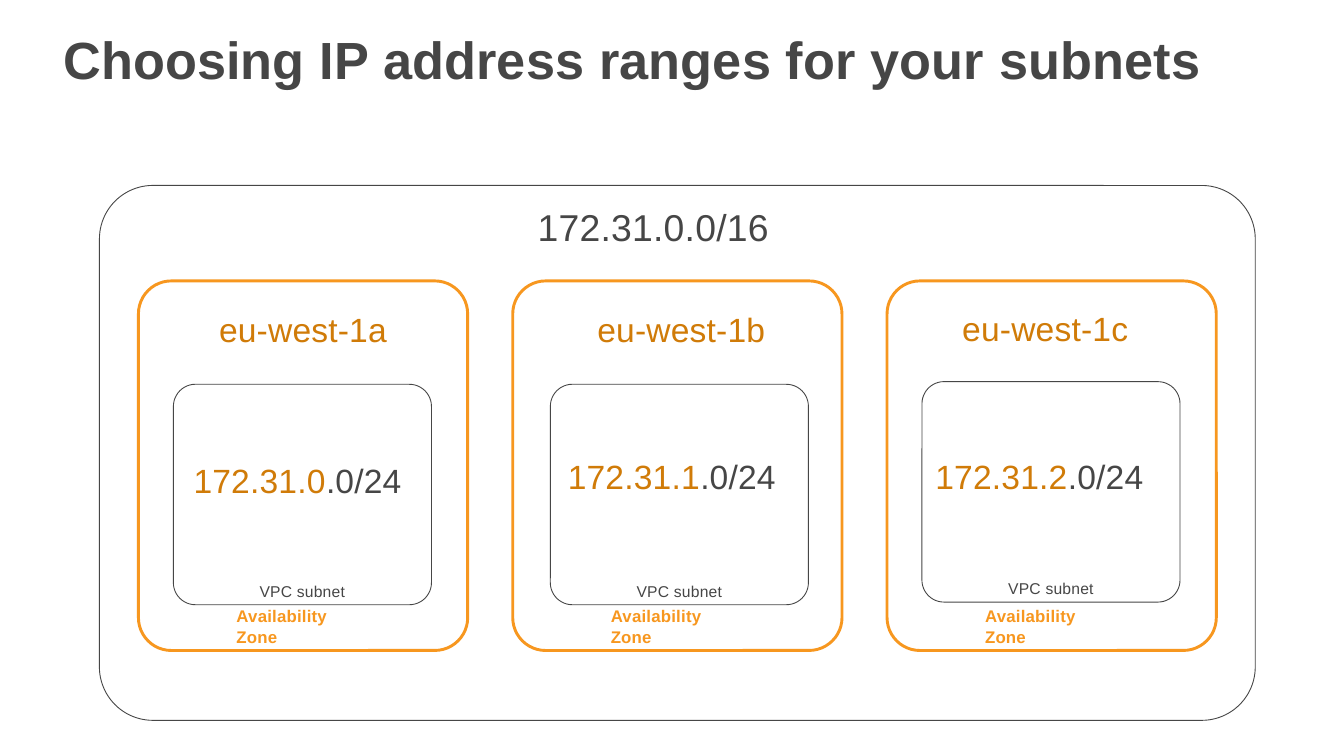
from dataclasses import dataclass

from pptx import Presentation
from pptx.dml.color import RGBColor
from pptx.enum.shapes import MSO_SHAPE
from pptx.enum.text import MSO_ANCHOR, MSO_AUTO_SIZE, PP_ALIGN
from pptx.util import Inches, Pt

ROUNDED = MSO_SHAPE.ROUNDED_RECTANGLE
TOP = MSO_ANCHOR.TOP
NO_FIT = MSO_AUTO_SIZE.NONE
LEFT, CENTER = PP_ALIGN.LEFT, PP_ALIGN.CENTER
TITLE_ONLY = 5


@dataclass(frozen=True)
class Theme:
    font: str = "Arial"
    gray: RGBColor = RGBColor(0x46, 0x46, 0x46)
    orange: RGBColor = RGBColor(0xF7, 0x97, 0x1F)
    amber: RGBColor = RGBColor(0xD0, 0x7B, 0x08)
    title_size: float = 28
    network_size: float = 20
    range_size: float = 18
    zone_size: float = 9
    subnet_size: float = 8.4
    thin: float = 0.48
    thick: float = 1.56
    corner: float = 0.1
    tracking: str = "10"


@dataclass(frozen=True)
class Zone:
    name: str
    prefix: str
    name_offset: tuple
    subnet_offset: tuple
    range_offset: tuple


THEME = Theme()
ZONES = [
    Zone("eu-west-1a", "172.31.0", (0.6, 0.21), (0.26, 0.77), (0.15, 0.56)),
    Zone("eu-west-1b", "172.31.1", (0.63, 0.21), (0.28, 0.77), (0.13, 0.53)),
    Zone("eu-west-1c", "172.31.2", (0.56, 0.2), (0.26, 0.75), (0.1, 0.55)),
]


def write_text(box, spans, size, bold=False, align=LEFT):
    frame = box.text_frame
    frame.margin_left = frame.margin_right = 0
    frame.margin_top = frame.margin_bottom = 0
    frame.word_wrap = True
    frame.auto_size = NO_FIT
    frame.vertical_anchor = TOP
    para = frame.paragraphs[0]
    para.alignment = align
    for text, color in spans:
        span = para.add_run()
        span.text = text
        span.font.name = THEME.font
        span.font.size = Pt(size)
        span.font.bold = bold
        span.font.color.rgb = color
        span._r.get_or_add_rPr().set("spc", THEME.tracking)


def add_label(page, left, top, width, height, spans, size, **style):
    box = page.shapes.add_textbox(
        Inches(left), Inches(top), Inches(width), Inches(height)
    )
    write_text(box, spans, size, **style)


def add_frame(page, left, top, width, height, color, weight):
    frame = page.shapes.add_shape(
        ROUNDED, Inches(left), Inches(top), Inches(width), Inches(height)
    )
    frame.adjustments[0] = THEME.corner
    frame.shadow.inherit = False
    frame.fill.background()
    frame.line.color.rgb = color
    frame.line.width = Pt(weight)


def add_title(page, left, top, width, height):
    title = page.shapes.title
    title.left, title.top = Inches(left), Inches(top)
    title.width, title.height = Inches(width), Inches(height)
    spans = [("Choosing IP address ranges for your subnets", THEME.gray)]
    write_text(title, spans, THEME.title_size, bold=True)


def add_subnet(page, left, top, width, height, zone):
    add_frame(page, left, top, width, height, THEME.gray, THEME.thin)
    add_label(page, left + 0.61, top + height - 0.17, 0.7, 0.14,
              [("VPC subnet", THEME.gray)], THEME.subnet_size, align=CENTER)
    shift, drop = zone.range_offset
    add_label(page, left + shift, top + drop, 1.6, 0.28,
              [(zone.prefix, THEME.amber), (".0/24", THEME.gray)],
              THEME.range_size)


def add_zone(page, left, top, width, height, zone):
    add_frame(page, left, top, width, height, THEME.orange, THEME.thick)
    add_label(page, left + 0.73, top + height - 0.33, 0.9, 0.28,
              [("Availability Zone", THEME.orange)], THEME.zone_size, bold=True)
    shift, drop = zone.subnet_offset
    add_subnet(page, left + shift, top + drop, 1.92, 1.64, zone)
    shift, drop = zone.name_offset
    add_label(page, left + shift, top + drop, 1.3, 0.28,
              [(zone.name, THEME.amber)], THEME.range_size)


def add_network(page, left, top, width, height):
    add_frame(page, left, top, width, height, THEME.gray, THEME.thin)
    add_label(page, left + 3.26, top + 0.14, 1.78, 0.31,
              [("172.31.0.0/16", THEME.gray)], THEME.network_size)
    margin, zone_width = 0.29, 2.45
    pitch = (width - 2 * margin - zone_width) / (len(ZONES) - 1)
    for index, zone in enumerate(ZONES):
        add_zone(page, left + margin + index * pitch, top + 0.71,
                 zone_width, 2.75, zone)


def main():
    deck = Presentation()
    deck.slide_width = Inches(10)
    deck.slide_height = deck.slide_width * 9 // 16
    page = deck.slides.add_slide(deck.slide_layouts[TITLE_ONLY])
    add_title(page, 0.47, 0.2, 8.53, 0.43)
    add_network(page, 0.74, 1.38, 8.6, 3.98)
    deck.save("out.pptx")


if __name__ == "__main__":
    main()
